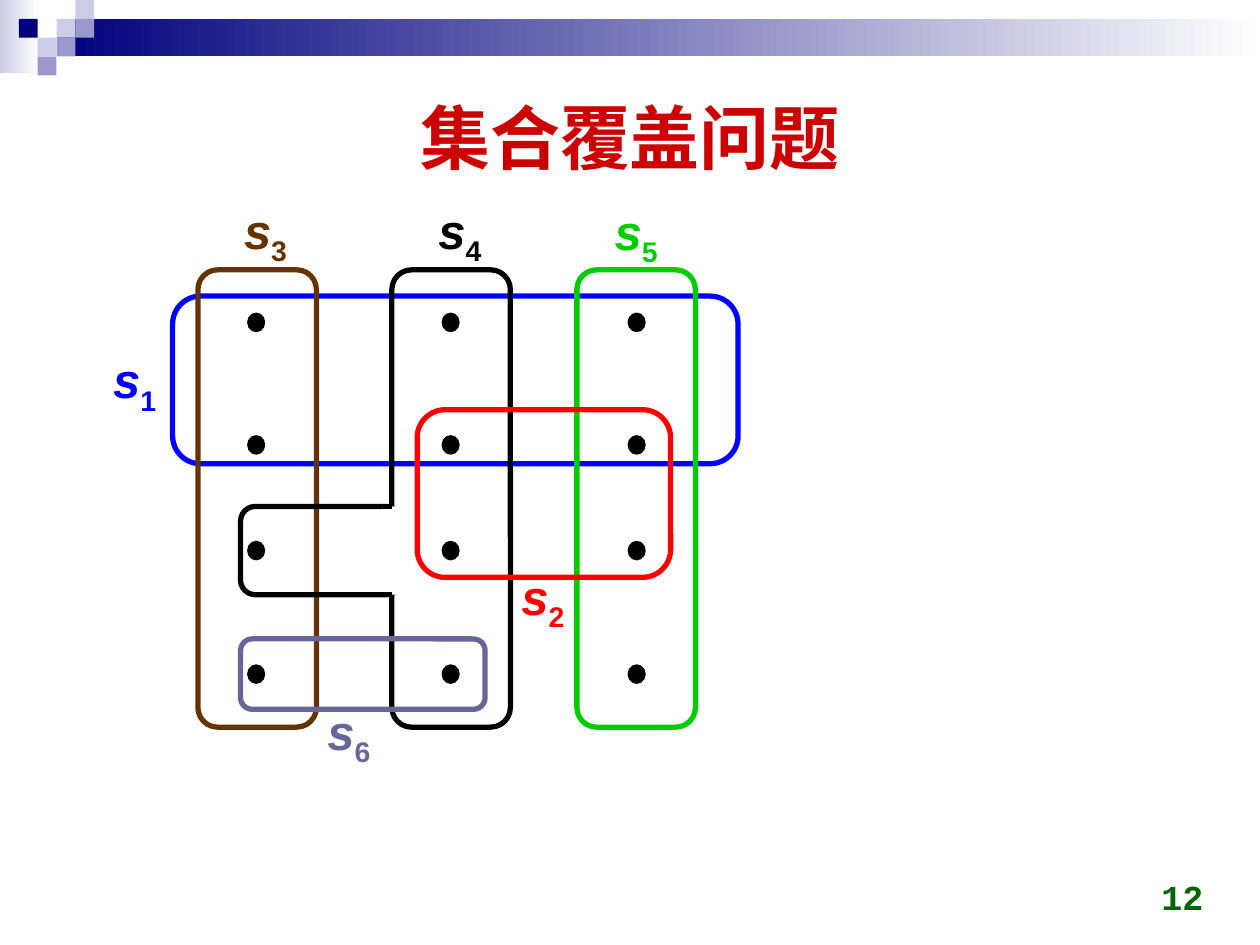
import pptx
import pptx.dml.color
import pptx.enum.shapes
import pptx.enum.text
import pptx.oxml.ns
import pptx.util
from dataclasses import dataclass
from lxml import etree

Cm = pptx.util.Cm
Pt = pptx.util.Pt
Shape = pptx.enum.shapes.MSO_SHAPE
Align = pptx.enum.text.PP_ALIGN
Anchor = pptx.enum.text.MSO_ANCHOR


@dataclass(frozen=True)
class Theme:
    font: str = "Arial"
    number_font: str = "Courier New"
    title_size: int = 40
    label_size: int = 28
    number_size: int = 20
    outline: float = 3
    title: str = "CC0000"
    number: str = "006600"
    navy: str = "00007D"
    lilac: str = "CCCCE6"
    violet: str = "9999CC"
    white: str = "FFFFFF"
    black: str = "000000"
    blue: str = "0000FF"
    red: str = "FF0000"
    brown: str = "663300"
    green: str = "00CC00"
    slate: str = "666699"


def rgb(value):
    return pptx.dml.color.RGBColor.from_string(value)


class Painter:
    def __init__(self, page, theme):
        self.page = page
        self.theme = theme

    def shape(self, kind, box, fill=None, line=None, width=1):
        shape = self.page.shapes.add_shape(kind, *map(Cm, box))
        shape.shadow.inherit = False
        if fill:
            shape.fill.solid()
            shape.fill.fore_color.rgb = rgb(fill)
        else:
            shape.fill.background()
        if line:
            shape.line.color.rgb = rgb(line)
            shape.line.width = Pt(width)
        else:
            shape.line.fill.background()
        return shape

    def fade(self, box, color):
        fill = self.shape(Shape.RECTANGLE, box).fill
        fill.gradient()
        fill.gradient_angle = 0
        for stop, value in zip(fill.gradient_stops, (color, self.theme.white)):
            stop.color.rgb = rgb(value)

    def outline(self, box, color):
        self.shape(Shape.ROUNDED_RECTANGLE, box, line=color, width=self.theme.outline)

    def line(self, left, right, y, color):
        line = self.page.shapes.add_connector(
            pptx.enum.shapes.MSO_CONNECTOR.STRAIGHT, Cm(left), Cm(y), Cm(right), Cm(y))
        line.line.color.rgb = rgb(color)
        line.line.width = Pt(self.theme.outline)
        etree.SubElement(line._element.spPr, pptx.oxml.ns.qn("a:effectLst"))

    def text(self, box, words, font, size, color, align, anchor, wrap=True):
        frame = self.page.shapes.add_textbox(*map(Cm, box)).text_frame
        frame.word_wrap = wrap
        frame.vertical_anchor = anchor
        para = frame.paragraphs[0]
        para.alignment = align
        para.font.name = font
        para.font.size = Pt(size)
        para.font.bold = True
        para.font.color.rgb = rgb(color)
        for word in words:
            para.add_run().text = word
        return frame

    def label(self, left, top, index, color):
        frame = self.text((left, top, 1.45, 1.45), ("s", index), self.theme.font,
                          self.theme.label_size, color, Align.LEFT, Anchor.TOP, wrap=False)
        frame.auto_size = pptx.enum.text.MSO_AUTO_SIZE.SHAPE_TO_FIT_TEXT
        letter, subscript = frame.paragraphs[0].runs
        letter.font.italic = True
        subscript._r.get_or_add_rPr().set("baseline", "-25000")


def main():
    theme = Theme()
    deck = pptx.Presentation()
    deck.slide_width, deck.slide_height = Cm(25.4), Cm(19.05)
    page = deck.slides.add_slide(deck.slide_layouts[6])
    painter = Painter(page, theme)

    # Header band with its checker of small squares
    painter.fade((0, 0, 0.79, 1.47), theme.lilac)
    painter.fade((1.14, 0.38, 24.26, 0.76), theme.navy)
    square = 0.38
    for column, row, color in (
        (3, 1, theme.lilac), (4, 0, theme.lilac), (4, 1, theme.violet),
        (2, 2, theme.lilac), (1, 1, theme.navy), (3, 2, theme.violet),
        (2, 3, theme.violet),
    ):
        painter.shape(Shape.RECTANGLE, (column * square, row * square, square, square), color)

    # Title and page number
    painter.text((1.27, 1.27, 22.86, 2.95), ["集合覆盖问题"], theme.font,
                 theme.title_size, theme.title, Align.CENTER, Anchor.MIDDLE)
    painter.text((18.59, 17.35, 5.92, 1.27), ["12"], theme.number_font,
                 theme.number_size, theme.number, Align.RIGHT, Anchor.BOTTOM)

    # Elements: three columns of four dots
    for x in (5.0, 8.92, 12.67):
        for y in (6.32, 8.79, 10.92, 13.41):
            painter.shape(Shape.OVAL, (x, y, 0.33, 0.36), theme.black, theme.black)

    # Wide set s1 and the tall sets s3, s5, s4
    painter.outline((3.48, 5.97, 11.4, 3.38), theme.blue)
    for x, color in ((3.99, theme.brown), (11.63, theme.green), (7.9, theme.black)):
        painter.outline((x, 5.44, 2.39, 9.22), color)

    # Arm of s4, opened into its column
    arm_top, arm_height = 10.21, 1.78
    painter.outline((4.85, arm_top, 3.23, arm_height), theme.black)
    painter.shape(Shape.RECTANGLE, (7.72, arm_top, 0.51, arm_height), theme.white)
    painter.line(7.72, 7.9, arm_top, theme.black)
    painter.line(7.57, 7.9, arm_top + arm_height, theme.black)

    # Small sets s6 and s2
    painter.outline((4.85, 12.88, 4.93, 1.42), theme.slate)
    painter.outline((8.41, 8.26, 5.11, 3.38), theme.red)

    # Set names
    for left, top, index, color in (
        (2.03, 6.93, "1", theme.blue), (10.26, 11.3, "2", theme.red),
        (4.67, 3.91, "3", theme.brown), (8.59, 3.91, "4", theme.black),
        (12.14, 3.94, "5", theme.green), (6.35, 14.02, "6", theme.slate),
    ):
        painter.label(left, top, index, color)

    deck.save("out.pptx")


if __name__ == "__main__":
    main()
